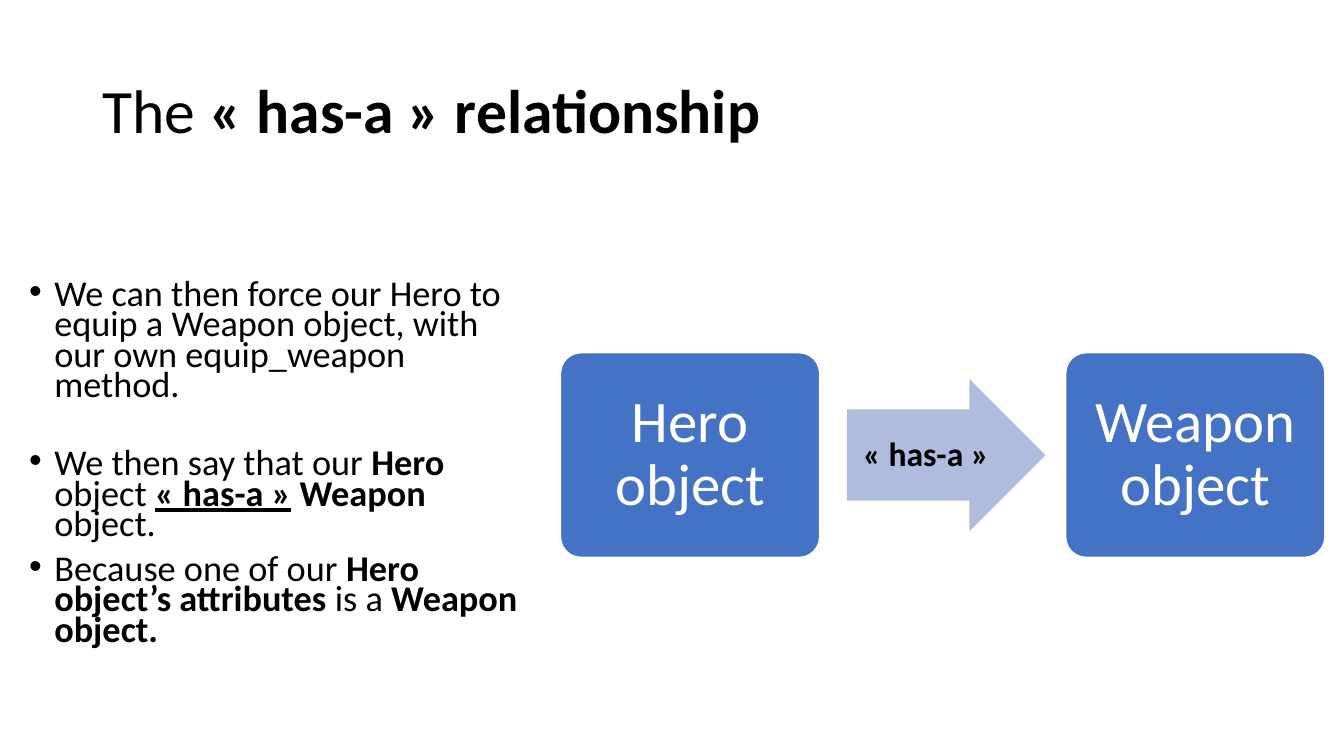
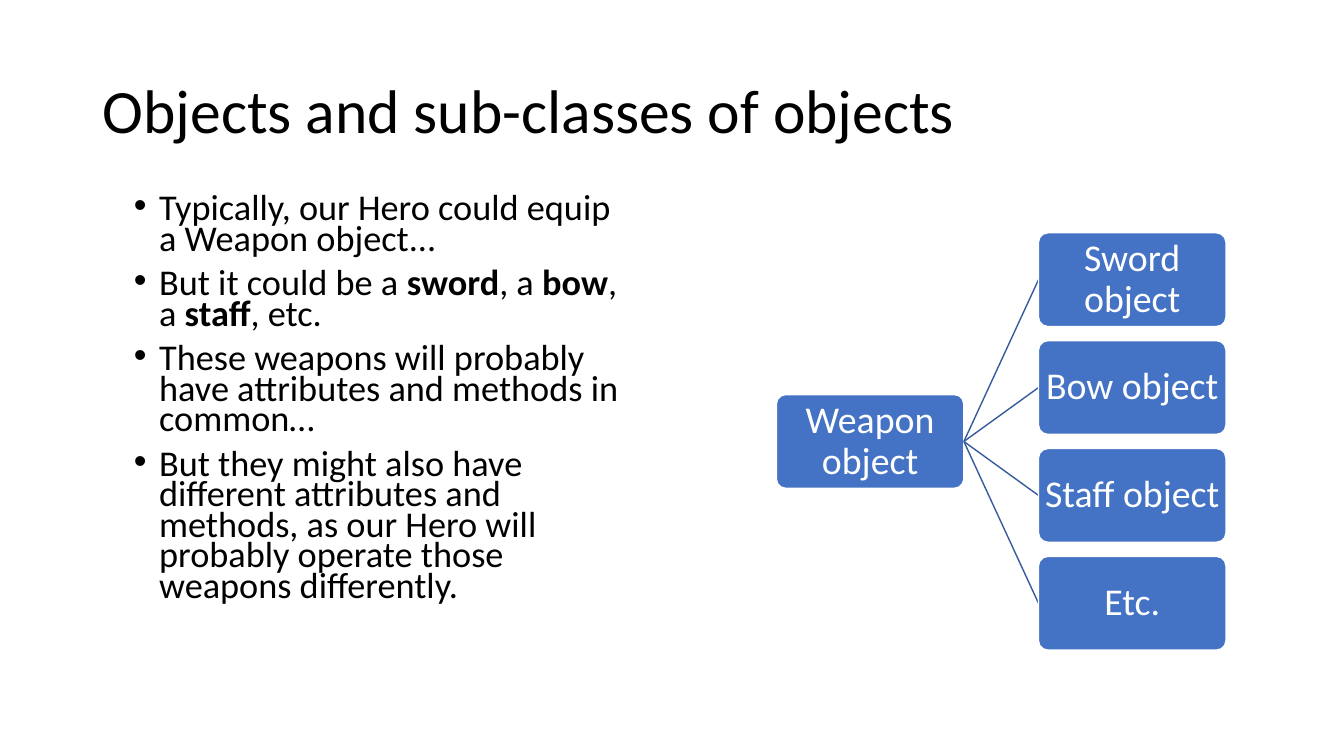
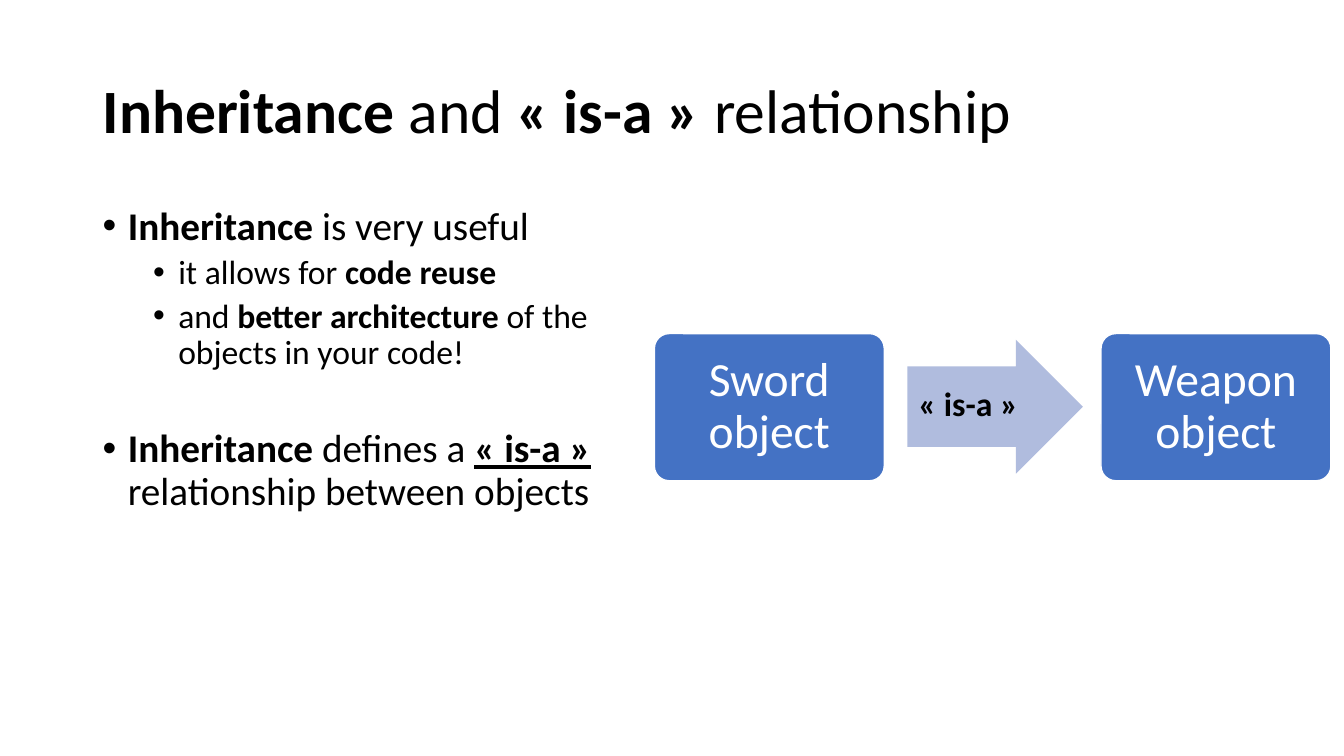
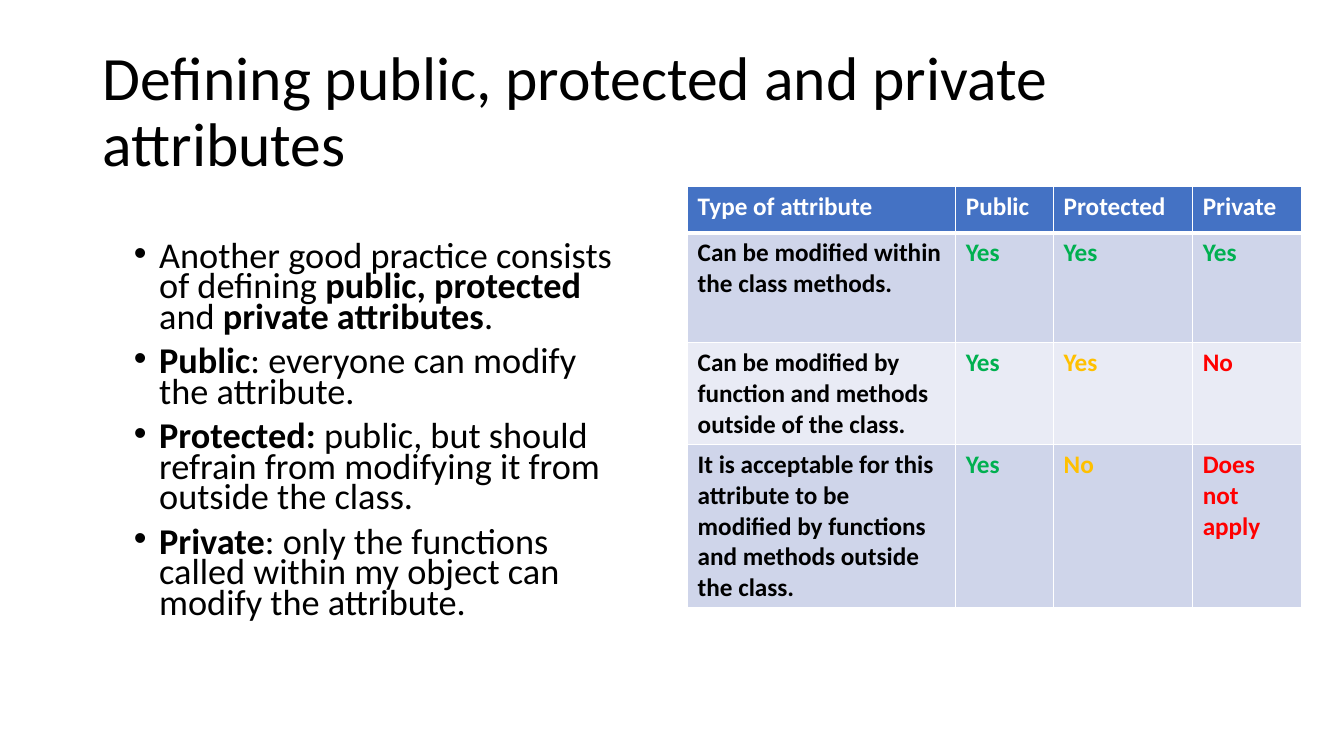
from lxml import etree
from pptx import Presentation
from pptx.dml.color import RGBColor
from pptx.enum.shapes import MSO_CONNECTOR, MSO_SHAPE
from pptx.enum.text import MSO_ANCHOR, PP_ALIGN
from pptx.oxml.ns import qn
from pptx.util import Emu, Pt

ROUNDED, ARROW = MSO_SHAPE.ROUNDED_RECTANGLE, MSO_SHAPE.RIGHT_ARROW
STRAIGHT = MSO_CONNECTOR.STRAIGHT
TOP, MIDDLE = MSO_ANCHOR.TOP, MSO_ANCHOR.MIDDLE
LEFT, CENTER = PP_ALIGN.LEFT, PP_ALIGN.CENTER

# Shared style: 100 px to the inch
PX = 9144
SLIDE_SIZE = (1333, 750)
FONT = "Calibri"
BLACK, WHITE, BLUE = "000000", "FFFFFF", "4472C4"
PALE_BLUE, LINE_BLUE = "B0BCDE", "365B9D"
BAND_DARK, BAND_LIGHT = "CFD5EA", "E9EBF5"
GREEN, AMBER, RED = "00B050", "FFC000", "FF0000"
TITLE_AREA = (92, 40, 1150, 145)
INDENT, LEVEL_STEP = 25, 50
PLAIN, BOLD, BOLD_UNDERLINE = "", "b", "bu"

# Content: titles are runs; bullets are (level, size, space before, runs)
HAS_TITLE = [("The ", PLAIN), ("« has-a » relationship", BOLD)]
HAS_BULLETS = [
    (0, 25.9, 0, [("We can then force our Hero to equip a Weapon object, "
                   "with our own equip_weapon method.", PLAIN)]),
    (0, 25.9, 34, [("We then say that our ", PLAIN), ("Hero ", BOLD),
                   ("object ", PLAIN), ("« has-a »", BOLD_UNDERLINE),
                   (" Weapon ", BOLD), ("object.", PLAIN)]),
    (0, 25.9, 10, [("Because one of our ", PLAIN),
                   ("Hero object’s attributes ", BOLD),
                   ("is a ", PLAIN), ("Weapon object.", BOLD)]),
]
HAS_RELATION = {
    "names": ("Hero object", "Weapon object"), "lefts": (556, 1057),
    "top": 350, "size": (257, 203), "font_size": 42, "inset": 17,
    "arrow": (840, 376, 197, 151),
    "label": "« has-a »", "label_area": (846, 425, 167, 50),
}

SUBCLASS_TITLE = [("Objects and sub-classes of objects", PLAIN)]
SUBCLASS_BULLETS = [
    (0, 25.9, 0, [("Typically, our Hero could equip a Weapon object...", PLAIN)]),
    (0, 25.9, 10, [("But it could be a ", PLAIN), ("sword", BOLD), (", a ", PLAIN),
                   ("bow", BOLD), (", a ", PLAIN), ("staff", BOLD),
                   (", etc.", PLAIN)]),
    (0, 25.9, 10, [("These weapons will probably have attributes and methods "
                    "in common…", PLAIN)]),
    (0, 25.9, 10, [("But they might also have different attributes and methods, "
                    "as our Hero will probably operate those weapons "
                    "differently.", PLAIN)]),
]
PARENT = "Weapon object"
CHILDREN = ["Sword object", "Bow object", "Staff object", "Etc."]

IS_TITLE = [("Inheritance", BOLD), (" and ", PLAIN), ("« is-a » ", BOLD),
            ("relationship", PLAIN)]
IS_BULLETS = [
    (0, 28, 0, [("Inheritance ", BOLD), ("is very useful", PLAIN)]),
    (1, 24, 5, [("it allows for ", PLAIN), ("code reuse", BOLD)]),
    (1, 24, 5, [("and ", PLAIN), ("better architecture", BOLD),
                (" of the objects in your code!", PLAIN)]),
    (0, 28, 41, [("Inheritance ", BOLD), ("defines a ", PLAIN),
                 ("« is-a »", BOLD_UNDERLINE),
                 (" relationship between objects", PLAIN)]),
]
IS_RELATION = {
    "names": ("Sword object", "Weapon object"), "lefts": (649, 1092),
    "top": 331, "size": (228, 146), "font_size": 34, "inset": 14,
    "arrow": (900, 337, 174, 133),
    "label": "« is-a »", "label_area": (901, 375, 167, 50),
}

ACCESS_TITLE = [("Defining public, protected and private attributes", PLAIN)]
ACCESS_BULLETS = [
    (0, 25.9, 0, [("Another good practice consists of defining ", PLAIN),
                  ("public, protected", BOLD), (" and ", PLAIN),
                  ("private attributes", BOLD), (".", PLAIN)]),
    (0, 25.9, 10, [("Public", BOLD),
                   (": everyone can modify the attribute.", PLAIN)]),
    (0, 25.9, 10, [("Protected: ", BOLD),
                   ("public, but should refrain from modifying it from "
                    "outside the class.", PLAIN)]),
    (0, 25.9, 10, [("Private", BOLD),
                   (": only the functions called within my object can modify "
                    "the attribute.", PLAIN)]),
]
ACCESS_COLUMNS = [266, 97, 138, 108]
ACCESS_ROWS = [  # height, fill, cells as (text, colour)
    (46, BLUE, [("Type of attribute", WHITE), ("Public", WHITE),
                ("Protected", WHITE), ("Private", WHITE)]),
    (109, BAND_DARK, [("Can be modified within the class methods.", BLACK),
                      ("Yes", GREEN), ("Yes", GREEN), ("Yes", GREEN)]),
    (101, BAND_LIGHT, [("Can be modified by function and methods outside of "
                        "the class.", BLACK),
                       ("Yes", GREEN), ("Yes", AMBER), ("No", RED)]),
    (162, BAND_DARK, [("It is acceptable for this attribute to be modified by "
                       "functions and methods outside the class.", BLACK),
                      ("Yes", GREEN), ("No", AMBER), ("Does not apply", RED)]),
]


# Helpers
def px(*lengths):
    return [Emu(round(length * PX)) for length in lengths]


def colour(hex_string):
    return RGBColor.from_string(hex_string)


def add_runs(paragraph, runs, size, text_colour=BLACK):
    for text, style in runs:
        run = paragraph.add_run()
        run.text = text
        run.font.name = FONT
        run.font.size = Pt(size)
        run.font.color.rgb = colour(text_colour)
        run.font.bold = "b" in style
        run.font.underline = "u" in style


def add_text_box(slide, area, anchor=TOP):
    frame = slide.shapes.add_textbox(*px(*area)).text_frame
    frame.word_wrap = True
    frame.vertical_anchor = anchor
    return frame


def add_bullet(paragraph, level):
    properties = paragraph._p.get_or_add_pPr()
    margin, hanging = px(INDENT + level * LEVEL_STEP, -INDENT)
    properties.set("marL", str(margin))
    properties.set("indent", str(hanging))
    etree.SubElement(properties, qn("a:buFont")).set("typeface", "Arial")
    etree.SubElement(properties, qn("a:buChar")).set("char", "•")


def add_bullets(slide, area, bullets, line_spacing):
    frame = add_text_box(slide, area)
    for index, (level, size, space_before, runs) in enumerate(bullets):
        paragraph = frame.add_paragraph() if index else frame.paragraphs[0]
        add_bullet(paragraph, level)
        paragraph.level = level
        paragraph.line_spacing = line_spacing
        paragraph.space_before = Pt(space_before)
        add_runs(paragraph, runs, size)


def add_slide(presentation, title):
    slide = presentation.slides.add_slide(presentation.slide_layouts[6])
    paragraph = add_text_box(slide, TITLE_AREA, MIDDLE).paragraphs[0]
    paragraph.line_spacing = 0.9
    add_runs(paragraph, title, 44)
    return slide


def add_filled_shape(slide, kind, area, fill):
    shape = slide.shapes.add_shape(kind, *px(*area))
    shape.shadow.inherit = False
    shape.fill.solid()
    shape.fill.fore_color.rgb = colour(fill)
    shape.line.fill.background()
    return shape


def add_object_box(slide, area, name, size, inset):
    box = add_filled_shape(slide, ROUNDED, area, BLUE)
    box.adjustments[0] = 0.1
    box.line.color.rgb = colour(WHITE)
    box.line.width = Pt(1)
    frame = box.text_frame
    frame.word_wrap = True
    frame.vertical_anchor = MIDDLE
    frame.margin_left, frame.margin_top, frame.margin_right, frame.margin_bottom = (
        px(inset, inset, inset, inset))
    paragraph = frame.paragraphs[0]
    paragraph.alignment = CENTER
    paragraph.line_spacing = 0.9
    add_runs(paragraph, [(name, PLAIN)], size, WHITE)


def add_relation(slide, relation):
    for name, left in zip(relation["names"], relation["lefts"]):
        add_object_box(slide, (left, relation["top"], *relation["size"]), name,
                       relation["font_size"], relation["inset"])
    arrow = add_filled_shape(slide, ARROW, relation["arrow"], PALE_BLUE)
    arrow.adjustments[0] = 0.6
    arrow.adjustments[1] = 0.5
    label = add_text_box(slide, relation["label_area"]).paragraphs[0]
    add_runs(label, [(relation["label"], BOLD)], 24)


def add_hierarchy(slide):
    parent_left, child_left, first_top, pitch = 770, 1030, 231, 107
    width, height = 186, 93
    parent_top = first_top + pitch * (len(CHILDREN) - 1) / 2
    add_object_box(slide, (parent_left, parent_top, width, height), PARENT, 27, 2)
    for index, name in enumerate(CHILDREN):
        top = first_top + index * pitch
        branch = slide.shapes.add_connector(
            STRAIGHT, *px(parent_left + width, parent_top + height / 2,
                          child_left, top + height / 2))
        branch.line.color.rgb = colour(LINE_BLUE)
        branch.line.width = Pt(1)
        etree.SubElement(branch._element.spPr, qn("a:effectLst"))
        add_object_box(slide, (child_left, top, width, height), name, 27, 2)


def set_borders(cell, widths):
    properties = cell._tc.get_or_add_tcPr()
    for side, width in widths.items():
        line = etree.SubElement(properties, qn("a:ln" + side), w=str(Pt(width)))
        fill = etree.SubElement(line, qn("a:solidFill"))
        etree.SubElement(fill, qn("a:srgbClr"), val=WHITE)


def add_access_table(slide):
    area = (682, 185, sum(ACCESS_COLUMNS), sum(row[0] for row in ACCESS_ROWS))
    table = slide.shapes.add_table(
        len(ACCESS_ROWS), len(ACCESS_COLUMNS), *px(*area)).table
    table.horz_banding = False
    for column, width in zip(table.columns, px(*ACCESS_COLUMNS)):
        column.width = width
    for row_index, (height, fill, cells) in enumerate(ACCESS_ROWS):
        table.rows[row_index].height = px(height)[0]
        top_width = 3 if row_index == 1 else 1
        bottom_width = 3 if row_index == 0 else 1
        for column_index, (text, text_colour) in enumerate(cells):
            cell = table.cell(row_index, column_index)
            set_borders(cell, {"L": 1, "R": 1, "T": top_width, "B": bottom_width})
            cell.fill.solid()
            cell.fill.fore_color.rgb = colour(fill)
            paragraph = cell.text_frame.paragraphs[0]
            paragraph.alignment = LEFT
            add_runs(paragraph, [(text, BOLD)], 18, text_colour)


def main():
    presentation = Presentation()
    presentation.slide_width, presentation.slide_height = px(*SLIDE_SIZE)

    # Has-a relationship
    slide = add_slide(presentation, HAS_TITLE)
    add_bullets(slide, (19, 275, 508, 420), HAS_BULLETS, 0.7)
    add_relation(slide, HAS_RELATION)

    # Sub-classes
    slide = add_slide(presentation, SUBCLASS_TITLE)
    add_bullets(slide, (123, 190, 508, 455), SUBCLASS_BULLETS, 0.7)
    add_hierarchy(slide)

    # Is-a relationship
    slide = add_slide(presentation, IS_TITLE)
    add_bullets(slide, (92, 200, 567, 476), IS_BULLETS, 0.9)
    add_relation(slide, IS_RELATION)

    # Attribute access
    slide = add_slide(presentation, ACCESS_TITLE)
    add_bullets(slide, (123, 237, 508, 415), ACCESS_BULLETS, 0.7)
    add_access_table(slide)

    presentation.save("out.pptx")


if __name__ == "__main__":
    main()
